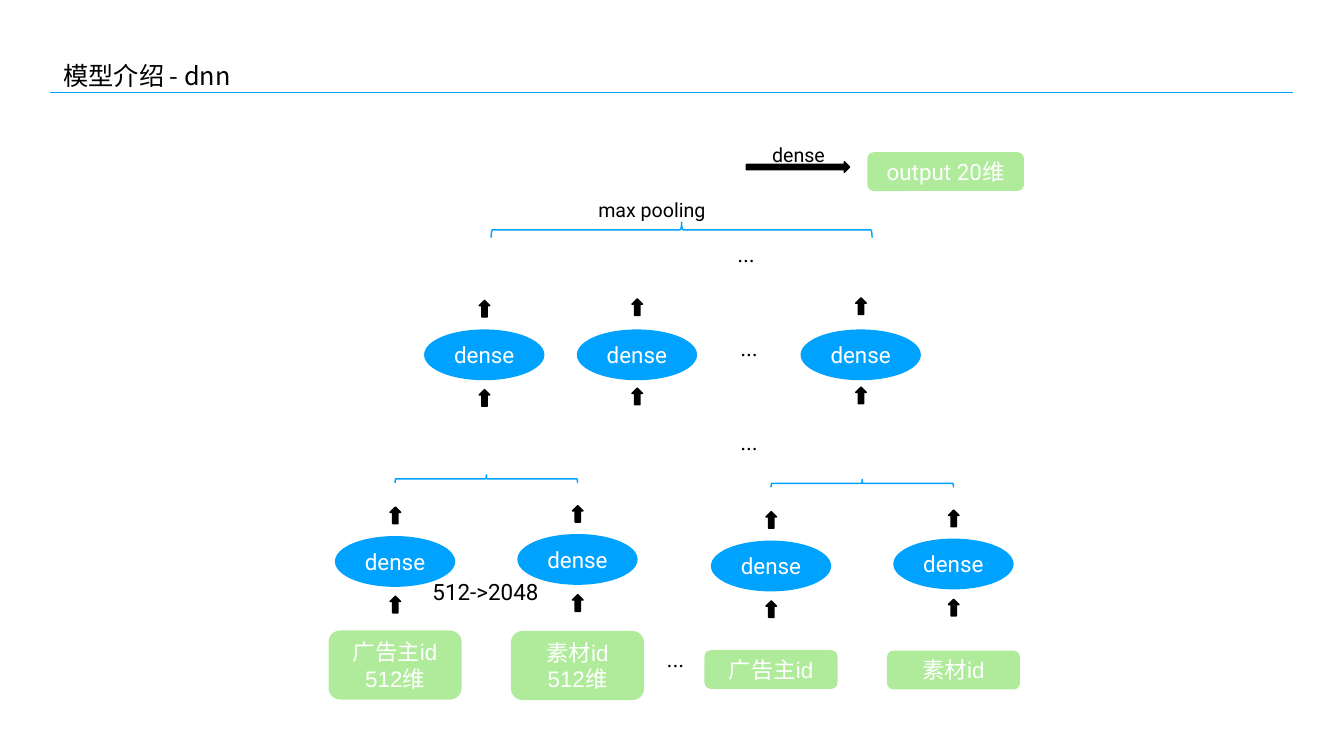
from lxml import etree
from pptx import Presentation
from pptx.dml.color import RGBColor
from pptx.enum.shapes import MSO_CONNECTOR, MSO_SHAPE as SHAPE
from pptx.enum.text import MSO_ANCHOR, PP_ALIGN
from pptx.oxml.ns import qn
from pptx.util import Pt

PX = 9144  # 100 px to the inch
WIDTH, HEIGHT = 2667, 1500
INSET = 8
LINE_WIDTH = 2
COLORS = {"blue": "00A2FF", "green": "61D836", "black": "000000", "white": "FFFFFF"}
CJK, ROBOTO, ARIAL = "Noto Sans CJK SC", "Roboto", "Arial"

TITLE = "模型介绍 - dnn"
RULE = (100, 183, 2565)  # left, top, right
# text, left, top, width, height, size
LABELS = [
    ("512->2048", 846, 1139, 235, 70, 32),
    ("max pooling", 1138, 384, 311, 63, 28),
    ("dense", 1429, 276, 311, 63, 28),
]
DOTS = [(1460, 855), (1460, 669), (1454, 481), (1314, 1285)]
DOTS_SIZE = (53, 70)
# lines, left, top, width, height, font
BOXES = [
    (["广告主id", "512维"], 652, 1251, 264, 137, ARIAL),
    (["素材id", "512维"], 1014, 1252, 264, 137, ARIAL),
    (["广告主id"], 1398, 1290, 264, 77, ARIAL),
    (["素材id"], 1760, 1291, 264, 77, ARIAL),
    (["output 20维"], 1721, 302, 311, 77, ROBOTO),
]
# centre, top of ellipse, top of the arrow above it
DENSE_UNITS = [
    (961, 655, 602), (1264, 655, 599), (1708, 655, 597),
    (784, 1065, 1012), (1146, 1061, 1009),
    (1530, 1074, 1021), (1892, 1070, 1018),
]
ELLIPSE = (236, 98)
ARROW = (33, 21)
ARROW_STEP = 177  # from the arrow above an ellipse to the one below
# preset, left, top, width, height, rotation
BRACES = [
    (SHAPE.RIGHT_BRACE, 957, 769, 16, 362, 270),
    (SHAPE.RIGHT_BRACE, 1703, 778, 16, 362, 270),
    (SHAPE.LEFT_BRACE, 1337, 78, 31, 756, 90),
]
OUTPUT_ARROW = (1481, 321, 205, 21)


def rgb(name):
    return RGBColor.from_string(COLORS[name])


def emu(*lengths):
    return [length * PX for length in lengths]


def write(shape, lines, size=32, font=ROBOTO, color="black",
          align=PP_ALIGN.CENTER, wrap=True):
    frame = shape.text_frame
    frame.word_wrap = wrap
    frame.vertical_anchor = MSO_ANCHOR.MIDDLE
    frame.margin_left = frame.margin_right = INSET * PX
    frame.margin_top = frame.margin_bottom = INSET * PX
    for index, line in enumerate(lines):
        paragraph = frame.add_paragraph() if index else frame.paragraphs[0]
        paragraph.alignment = align
        run = paragraph.add_run()
        run.text = line
        run.font.size = Pt(size)
        run.font.name = font
        run.font.color.rgb = rgb(color)
        east_asian = etree.SubElement(run.font._element, qn("a:ea"))
        east_asian.set("typeface", CJK)


def add_text(slide, text, box, **text_format):
    write(slide.shapes.add_textbox(*emu(*box)), [text], **text_format)


def add_shape(slide, preset, box, fill=None, line=None, rotation=0, alpha=None):
    shape = slide.shapes.add_shape(preset, *emu(*box))
    shape.shadow.inherit = False
    shape.rotation = rotation
    if fill:
        shape.fill.solid()
        shape.fill.fore_color.rgb = rgb(fill)
    else:
        shape.fill.background()
    if line:
        shape.line.color.rgb = rgb(line)
        shape.line.width = Pt(LINE_WIDTH)
    else:
        shape.line.fill.background()
    if alpha:
        color = shape._element.spPr.find(qn("a:solidFill"))[0]
        etree.SubElement(color, qn("a:alpha")).set("val", str(alpha * 1000))
    return shape


def add_rule(slide, left, top, right):
    rule = slide.shapes.add_connector(
        MSO_CONNECTOR.STRAIGHT, *emu(left, top, right, top))
    rule.line.color.rgb = rgb("blue")
    rule.line.width = Pt(LINE_WIDTH)
    etree.SubElement(rule._element.spPr, qn("a:effectLst"))


def add_dense_unit(slide, center, ellipse_top, arrow_top):
    """Draw one dense layer with an arrow into it and one out of it."""
    width, height = ELLIPSE
    ellipse = add_shape(slide, SHAPE.OVAL,
                        (center - width // 2, ellipse_top, width, height),
                        fill="blue", line="blue")
    write(ellipse, ["dense"], color="white")
    for top in (arrow_top, arrow_top + ARROW_STEP):
        add_shape(slide, SHAPE.RIGHT_ARROW, (center - ARROW[0] // 2, top, *ARROW),
                  fill="black", line="black", rotation=270)


def main():
    presentation = Presentation()
    presentation.slide_width, presentation.slide_height = emu(WIDTH, HEIGHT)
    slide = presentation.slides.add_slide(presentation.slide_layouts[6])

    add_rule(slide, *RULE)
    add_text(slide, TITLE, (118, 111, 2161, 76), size=36, font=CJK,
             align=PP_ALIGN.LEFT)
    for preset, *box, rotation in BRACES:
        add_shape(slide, preset, box, line="blue", rotation=rotation)
    for unit in DENSE_UNITS:
        add_dense_unit(slide, *unit)
    add_shape(slide, SHAPE.RIGHT_ARROW, OUTPUT_ARROW, fill="black", line="black")
    for lines, *box, font in BOXES:
        shape = add_shape(slide, SHAPE.ROUNDED_RECTANGLE, box, fill="green", alpha=50)
        write(shape, lines, font=font, color="white")
    for text, *box, size in LABELS:
        add_text(slide, text, box, size=size)
    for left, top in DOTS:
        add_text(slide, "···", (left, top, *DOTS_SIZE), wrap=False)

    presentation.save("out.pptx")


if __name__ == "__main__":
    main()
